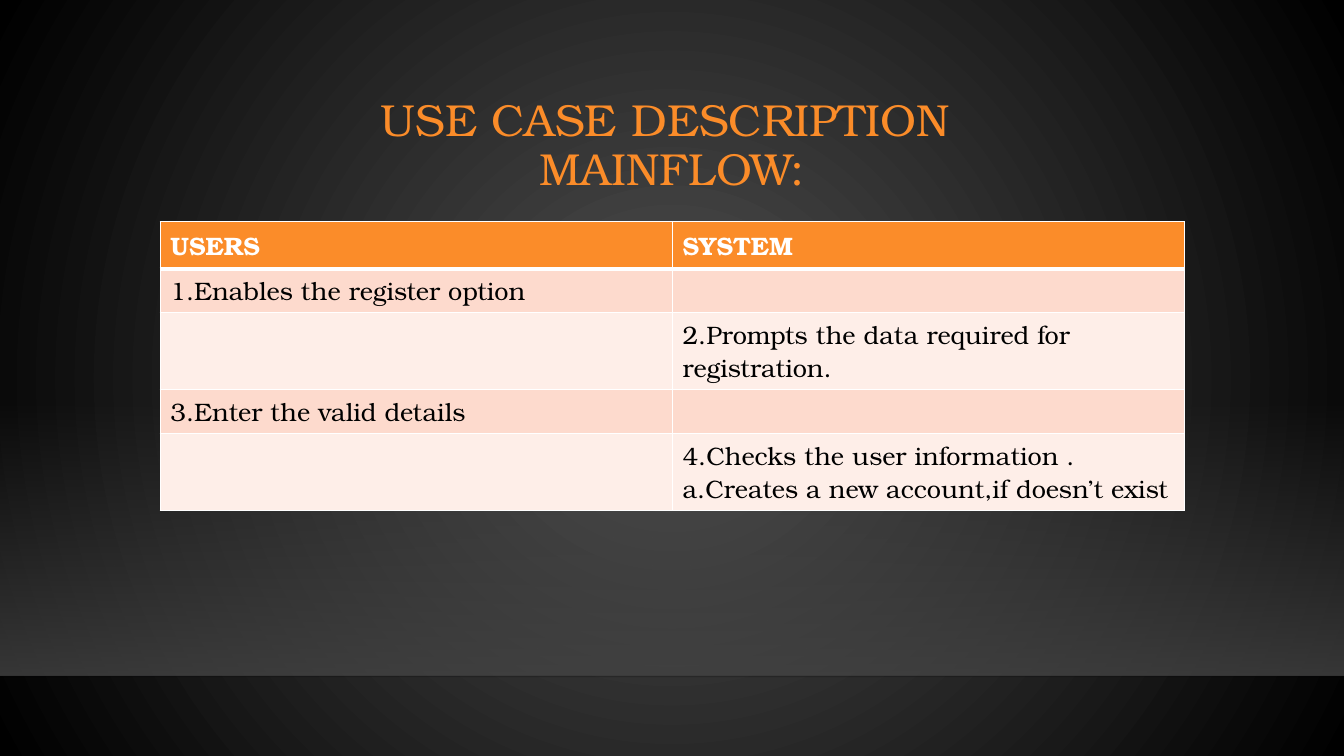
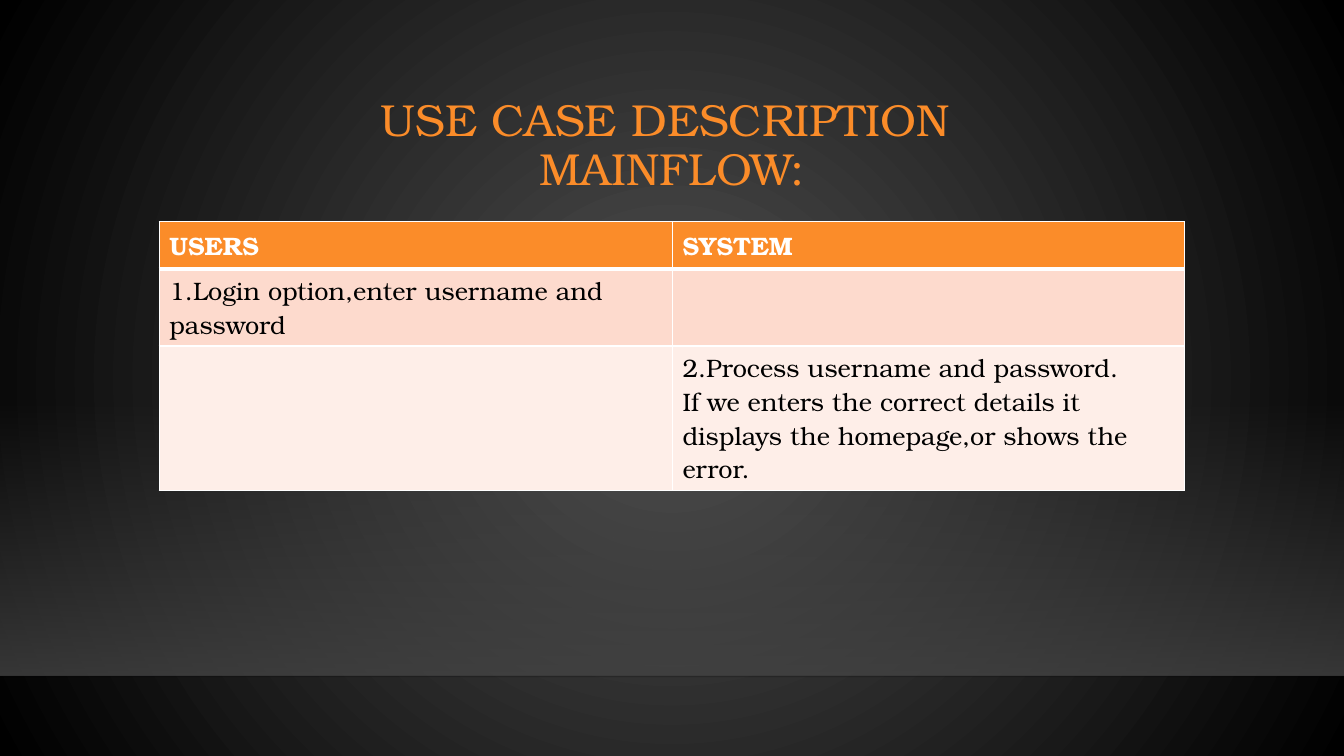
import pptx
import pptx.util
import pptx.dml.color
import pptx.enum.shapes
import pptx.enum.text
import pptx.oxml
import pptx.oxml.ns
from pptx.util import Inches

# Content: table left edge and rows of (users, system), each a list of paragraphs
TITLE = ["USE CASE DESCRIPTION ", "MAINFLOW:"]
HEADER = (["USERS"], ["SYSTEM"])
SLIDES = [
    (1.59, [
        (["1.Enables the register option"], []),
        ([], ["2.Prompts the data required for registration."]),
        (["3.Enter the valid details"], []),
        ([], ["4.Checks the user information .",
              "a.Creates a new account,if doesn’t exist"]),
    ]),
    (1.58, [
        (["1.Login option,enter username and password"], []),
        ([], ["2.Process username and password.",
              "If we enters the correct details it displays the homepage,"
              "or shows the error."]),
    ]),
]

# Shared style
FONT = "TeX Gyre Bonum"
COLORS = {"accent": "FB8C29", "white": "FFFFFF", "text": "000000",
          "odd": "FDDACD", "even": "FEEEE8", "glow": "505050",
          "edge": "000000", "band": "454545", "line": "000001"}
WIDTH, HEIGHT = 13.33, 7.5
COL_MIDDLE, COL_RIGHT = 6.67, 11.75
TABLE_TOP, ROW_HEIGHT = 2.2, 0.41
NS = pptx.oxml.ns.nsdecls("a")


def rgb(name):
    return pptx.dml.color.RGBColor.from_string(COLORS[name])


def style_run(r, size, color, bold=False):
    r.font.name = FONT
    r.font.size = pptx.util.Pt(size)
    r.font.bold = bold
    r.font.color.rgb = rgb(color)


def set_gradient(props, stops, direction):
    """Replace the solid fill in props by a gradient of (pos, color, opacity)."""
    gs = "".join(
        f'<a:gs pos="{pos * 1000}"><a:srgbClr val="{COLORS[color]}">'
        f'<a:alpha val="{opacity * 1000}"/></a:srgbClr></a:gs>'
        for pos, color, opacity in stops)
    grad = pptx.oxml.parse_xml(
        f'<a:gradFill {NS} rotWithShape="1"><a:gsLst>{gs}</a:gsLst>{direction}</a:gradFill>')
    solid = props.find(pptx.oxml.ns.qn("a:solidFill"))
    props.replace(solid, grad)


def decorate_master(prs, s):
    """Background, floor band and horizon line, moved from s to the master."""
    master = prs.slide_master
    master.background.fill.solid()
    bg = next(master.element.iter(pptx.oxml.ns.qn("p:bgPr")))
    set_gradient(bg, [(0, "glow", 100), (100, "edge", 100)],
                 '<a:path path="circle"><a:fillToRect l="50000" t="50000" '
                 'r="50000" b="50000"/></a:path>')

    band = s.shapes.add_shape(pptx.enum.shapes.MSO_SHAPE.RECTANGLE, 0,
                              Inches(3.96), Inches(WIDTH), Inches(2.74))
    band.shadow.inherit = False
    band.line.fill.background()
    band.fill.solid()
    set_gradient(band.element.spPr, [(0, "band", 0), (100, "band", 80)],
                 '<a:lin ang="5400000" scaled="0"/>')

    line = s.shapes.add_connector(pptx.enum.shapes.MSO_CONNECTOR.STRAIGHT, 0,
                                  Inches(6.71), Inches(WIDTH), Inches(6.71))
    line.line.width = pptx.util.Pt(1)
    line.line.color.rgb = rgb("line")
    color = next(line.element.spPr.iter(pptx.oxml.ns.qn("a:srgbClr")))
    color.append(pptx.oxml.parse_xml(f'<a:alpha {NS} val="20000"/>'))
    line.element.spPr.append(pptx.oxml.parse_xml(f"<a:effectLst {NS}/>"))

    for i, shape in enumerate((band, line)):
        master.shapes.element.insert(2 + i, shape.element)


def add_title(s):
    title = s.shapes.title
    title.left, title.top = Inches(1.59), Inches(0.88)
    title.width, title.height = Inches(10.16), Inches(1.15)
    tf = title.text_frame
    tf.word_wrap = True
    tf.auto_size = pptx.enum.text.MSO_AUTO_SIZE.NONE
    tf.vertical_anchor = pptx.enum.text.MSO_ANCHOR.MIDDLE
    p = tf.paragraphs[0]
    p.alignment = pptx.enum.text.PP_ALIGN.CENTER
    p.line_spacing = 0.9
    for i, text in enumerate(TITLE):
        if i:
            p.add_line_break()
        r = p.add_run()
        r.text = text
        style_run(r, 32, "accent")


def set_borders(cell, bottom):
    props = cell._tc.get_or_add_tcPr()
    for i, (side, width) in enumerate((("L", 1), ("R", 1), ("T", 1), ("B", bottom))):
        props.insert(i, pptx.oxml.parse_xml(
            f'<a:ln{side} {NS} w="{width * 12700}"><a:solidFill>'
            f'<a:srgbClr val="{COLORS["white"]}"/></a:solidFill></a:ln{side}>'))


def add_flow_table(s, left, rows):
    rows = [HEADER] + rows
    table = s.shapes.add_table(
        len(rows), 2, Inches(left), Inches(TABLE_TOP), Inches(COL_RIGHT - left),
        Inches(ROW_HEIGHT * len(rows))).table
    table.columns[0].width = Inches(COL_MIDDLE - left)
    table.columns[1].width = Inches(COL_RIGHT - COL_MIDDLE)
    for i, row in enumerate(rows):
        header = i == 0
        fill = "accent" if header else "odd" if i % 2 else "even"
        for j, paragraphs in enumerate(row):
            cell = table.cell(i, j)
            cell.fill.solid()
            cell.fill.fore_color.rgb = rgb(fill)
            set_borders(cell, 3 if header else 1)
            tf = cell.text_frame
            for k, text in enumerate(paragraphs):
                p = tf.add_paragraph() if k else tf.paragraphs[0]
                r = p.add_run()
                r.text = text
                style_run(r, 18, "white" if header else "text", header)


def main():
    prs = pptx.Presentation()
    prs.slide_width, prs.slide_height = Inches(WIDTH), Inches(HEIGHT)
    for i, (left, rows) in enumerate(SLIDES):
        s = prs.slides.add_slide(prs.slide_layouts[5])
        if i == 0:
            decorate_master(prs, s)
        add_title(s)
        add_flow_table(s, left, rows)
    prs.save("out.pptx")


if __name__ == "__main__":
    main()
